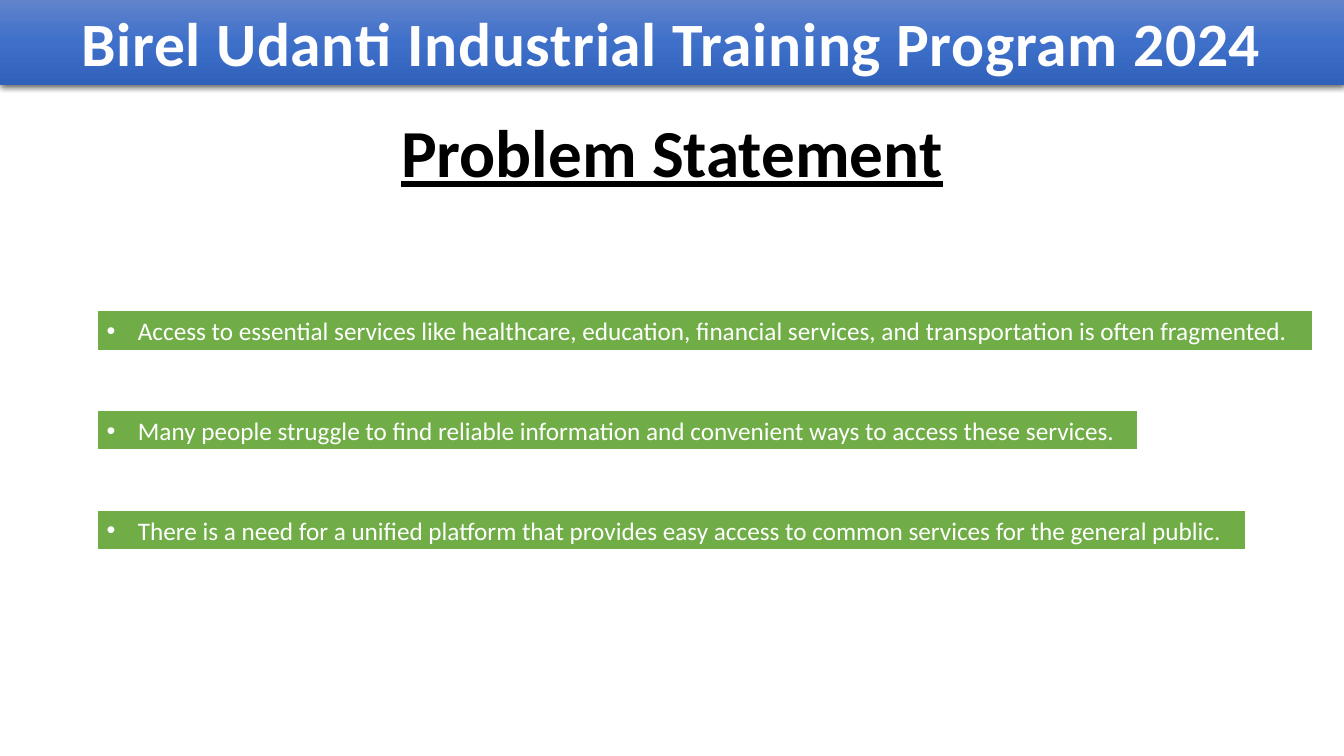
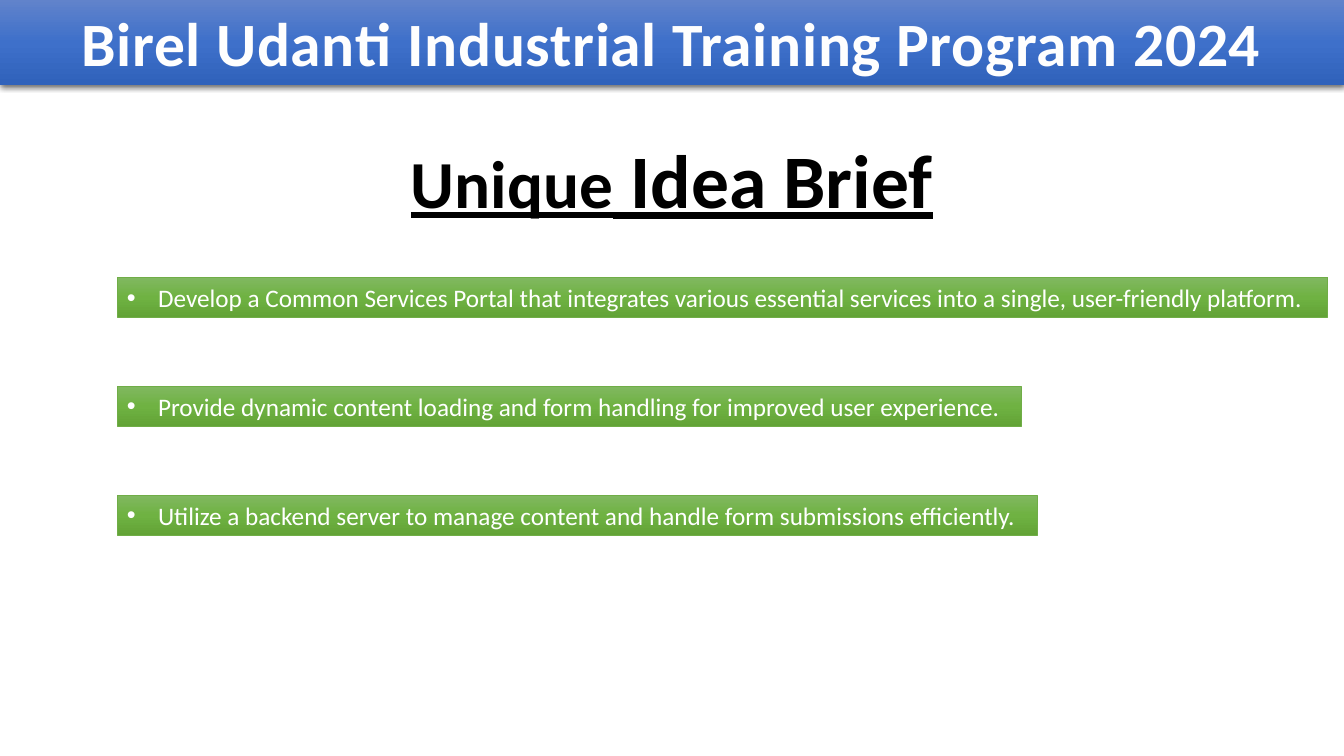
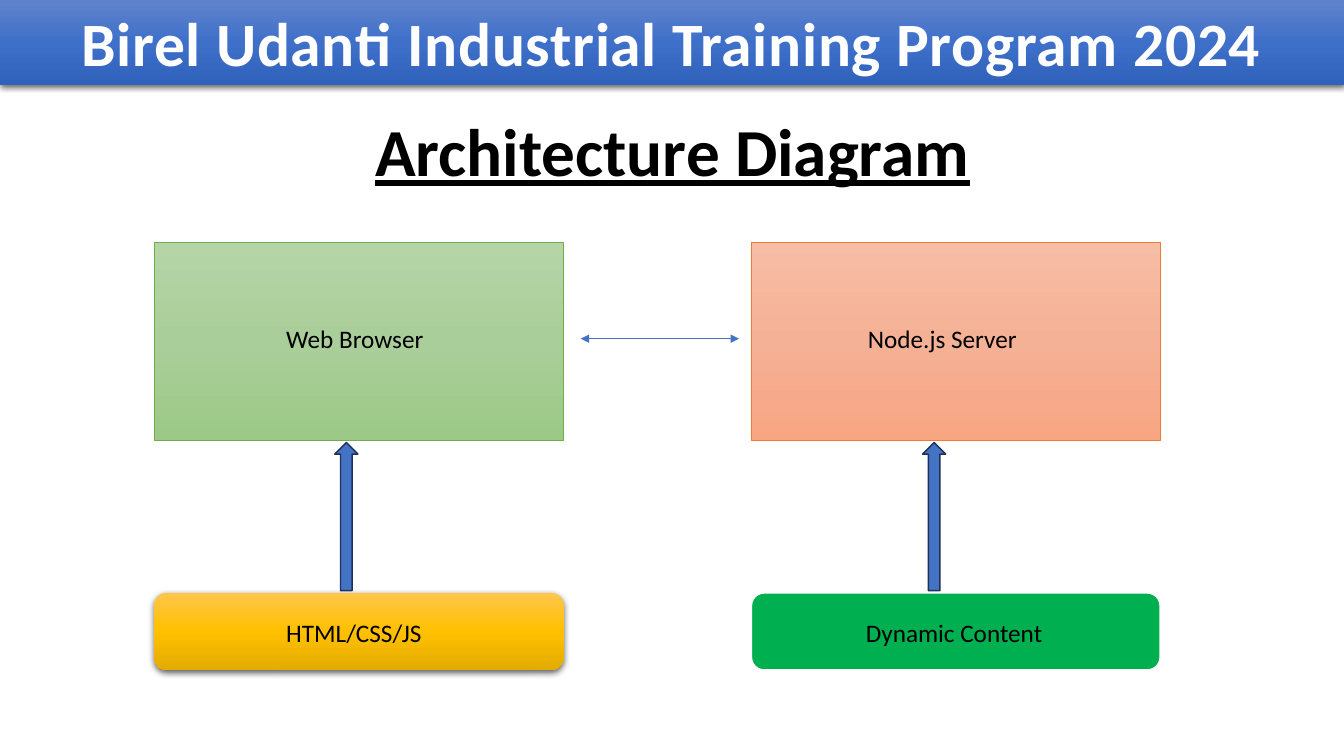
"""Build three slides of a training project deck: problem, idea and architecture."""
from dataclasses import dataclass
from typing import Optional, Union

from lxml import etree
from pptx import Presentation
from pptx.dml.color import RGBColor
from pptx.enum.shapes import MSO_CONNECTOR, MSO_SHAPE
from pptx.enum.text import MSO_ANCHOR, MSO_AUTO_SIZE, PP_ALIGN
from pptx.oxml.ns import qn
from pptx.util import Inches, Pt

RECTANGLE, ROUNDED, UP_ARROW = MSO_SHAPE.RECTANGLE, MSO_SHAPE.ROUNDED_RECTANGLE, MSO_SHAPE.UP_ARROW
STRAIGHT = MSO_CONNECTOR.STRAIGHT
LEFT, CENTER = PP_ALIGN.LEFT, PP_ALIGN.CENTER
MIDDLE, FIXED = MSO_ANCHOR.MIDDLE, MSO_AUTO_SIZE.NONE

FONT = "Calibri"
BLACK = RGBColor(0x00, 0x00, 0x00)
WHITE = RGBColor(0xFF, 0xFF, 0xFF)
OFF_WHITE = RGBColor(0xFE, 0xFE, 0xFE)
BLUE = RGBColor(0x44, 0x72, 0xC4)
NAVY = RGBColor(0x1E, 0x32, 0x56)
GREEN = RGBColor(0x70, 0xAD, 0x47)
BRIGHT_GREEN = RGBColor(0x00, 0xB0, 0x50)
ORANGE = RGBColor(0xED, 0x7D, 0x31)
BLUE_SHADES = (RGBColor(0x61, 0x83, 0xCB), RGBColor(0x3E, 0x70, 0xCA), RGBColor(0x30, 0x62, 0xBB))
GREEN_SHADES = (RGBColor(0x81, 0xB8, 0x61), RGBColor(0x6F, 0xB2, 0x42), RGBColor(0x62, 0xA3, 0x36))
PALE_GREEN_SHADES = (RGBColor(0xB5, 0xD5, 0xA7), RGBColor(0xAA, 0xCE, 0x9A), RGBColor(0x9C, 0xC9, 0x87))
PALE_ORANGE_SHADES = (RGBColor(0xF7, 0xBD, 0xA5), RGBColor(0xF5, 0xB1, 0x96), RGBColor(0xF8, 0xA5, 0x82))
GOLD_SHADES = (RGBColor(0xFF, 0xC6, 0x4B), RGBColor(0xFF, 0xC0, 0x00), RGBColor(0xE3, 0xAB, 0x00))

SLIDE_WIDTH, SLIDE_HEIGHT = 13.33, 7.5
BAND_HEIGHT = 0.84
TEXT_HEIGHT = 0.4
PROGRAM = "Birel Udanti Industrial Training Program 2024"


@dataclass(frozen=True)
class Area:
    """A rectangle on the slide, in inches."""
    left: float
    top: float
    width: float
    height: float

    def lengths(self):
        """Return the four values as lengths."""
        return tuple(Inches(value) for value in (self.left, self.top, self.width, self.height))


@dataclass(frozen=True)
class Look:
    """The fill, outline and shadow of a shape; three colours make a gradient."""
    fill: Union[RGBColor, tuple]
    line: Optional[RGBColor] = None
    line_width: float = 0.5
    shadow: bool = False


@dataclass(frozen=True)
class TitleSpan:
    """A part of a title with its size in points."""
    text: str
    size: int = 48


@dataclass(frozen=True)
class Bar:
    """A bulleted statement and the width of its bar."""
    text: str
    width: float


@dataclass(frozen=True)
class Node:
    """A box of the diagram with its separate label."""
    area: Area
    shape: MSO_SHAPE
    look: Look
    text: str
    label: Area


BAND_LOOK = Look(BLUE_SHADES, shadow=True)
ARROW_LOOK = Look(BLUE, NAVY, 1)
FLAT_BAR = Look(GREEN, WHITE, 1.5)
SHADED_BAR = Look(GREEN_SHADES, GREEN)

PROBLEMS = (
    Bar("Access to essential services like healthcare, education, financial services, "
        "and transportation is often fragmented.", 12.06),
    Bar("Many people struggle to find reliable information and convenient ways "
        "to access these services.", 10.33),
    Bar("There is a need for a unified platform that provides easy access "
        "to common services for the general public.", 11.4),
)
IDEAS = (
    Bar("Develop a Common Services Portal that integrates various essential services "
        "into a single, user-friendly platform.", 12.01),
    Bar("Provide dynamic content loading and form handling for improved user experience.", 8.97),
    Bar("Utilize a backend server to manage content and handle form submissions efficiently.", 9.13),
)

COLUMNS = (1.53, 7.45)
NODE_WIDTH = 4.06
UPPER_TOP, UPPER_HEIGHT, UPPER_LABEL_TOP = 2.4, 1.97, 3.16
LOWER_TOP, LOWER_HEIGHT, LOWER_LABEL_TOP = 5.88, 0.77, 6.07
NODES = (
    Node(Area(COLUMNS[0], UPPER_TOP, NODE_WIDTH, UPPER_HEIGHT), RECTANGLE,
         Look(PALE_GREEN_SHADES, GREEN), "Web Browser",
         Area(2.74, UPPER_LABEL_TOP, 1.64, TEXT_HEIGHT)),
    Node(Area(COLUMNS[1], UPPER_TOP, NODE_WIDTH, UPPER_HEIGHT), RECTANGLE,
         Look(PALE_ORANGE_SHADES, ORANGE), "Node.js Server",
         Area(8.51, UPPER_LABEL_TOP, 1.75, TEXT_HEIGHT)),
    Node(Area(COLUMNS[0], LOWER_TOP, NODE_WIDTH, LOWER_HEIGHT), ROUNDED,
         Look(GOLD_SHADES, shadow=True), "HTML/CSS/JS",
         Area(2.74, LOWER_LABEL_TOP, 1.62, TEXT_HEIGHT)),
    Node(Area(COLUMNS[1], LOWER_TOP, NODE_WIDTH, LOWER_HEIGHT), ROUNDED,
         Look(BRIGHT_GREEN, WHITE, 1.5), "Dynamic Content",
         Area(8.49, LOWER_LABEL_TOP, 1.97, TEXT_HEIGHT)),
)
ARROW_LEFTS = (3.32, 9.15)


def add_color(parent, color: RGBColor):
    """Add a colour element below the parent and return it."""
    return etree.SubElement(parent, qn("a:srgbClr"), val=str(color))


def shade(shape, colors: tuple) -> None:
    """Fill a shape from top to bottom with evenly spaced colours."""
    shape.fill.gradient()
    shape.fill.gradient_angle = 270
    stops = next(shape._element.iter(qn("a:gsLst")))
    stops.clear()
    for index, color in enumerate(colors):
        position = 100000 * index // (len(colors) - 1)
        add_color(etree.SubElement(stops, qn("a:gs"), pos=str(position)), color)


def add_shadow(shape) -> None:
    """Put a soft shadow below a shape."""
    effects = shape._element.spPr.find(qn("a:effectLst"))
    shadow = etree.SubElement(effects, qn("a:outerShdw"), blurRad=str(Pt(4.5)),
                              dist=str(Pt(1.5)), dir="5400000", algn="ctr", rotWithShape="0")
    etree.SubElement(add_color(shadow, BLACK), qn("a:alpha"), val="63000")


def add_box(slide, kind: MSO_SHAPE, area: Area, look: Look):
    """Draw a preset shape with the given look."""
    box = slide.shapes.add_shape(kind, *area.lengths())
    box.shadow.inherit = False
    if isinstance(look.fill, RGBColor):
        box.fill.solid()
        box.fill.fore_color.rgb = look.fill
    else:
        shade(box, look.fill)
    if look.line is None:
        box.line.fill.background()
    else:
        box.line.color.rgb = look.line
        box.line.width = Pt(look.line_width)
    if look.shadow:
        add_shadow(box)
    return box


def format_text(shape, size: int, color: RGBColor, align: PP_ALIGN = LEFT,
                bold: bool = False, wrap: bool = True):
    """Format the single paragraph of a shape and return it."""
    frame = shape.text_frame
    frame.word_wrap = wrap
    frame.auto_size = FIXED
    frame.vertical_anchor = MIDDLE
    para = frame.paragraphs[0]
    para.alignment = align
    font = para.font
    font.name, font.size, font.bold = FONT, Pt(size), bold
    font.color.rgb = color
    return para


def outline_text(span, color: RGBColor) -> None:
    """Give the letters of a run a thin outline."""
    line = etree.Element(qn("a:ln"), w=str(Pt(0.75)))
    add_color(etree.SubElement(line, qn("a:solidFill")), color)
    span._r.get_or_add_rPr().insert(0, line)


def add_bullet(para) -> None:
    """Give a paragraph a hanging bullet."""
    properties = para._p.get_or_add_pPr()
    indent = Inches(0.31)
    properties.set("marL", str(indent))
    properties.set("indent", str(-indent))
    etree.SubElement(properties, qn("a:buFont"), typeface="Arial")
    etree.SubElement(properties, qn("a:buChar"), char="•")


def add_band(slide) -> None:
    """Draw the program band along the top edge."""
    band = add_box(slide, RECTANGLE, Area(0, 0, SLIDE_WIDTH, BAND_HEIGHT), BAND_LOOK)
    para = format_text(band, 44, OFF_WHITE, CENTER, bold=True)
    span = para.add_run()
    span.text = PROGRAM
    outline_text(span, BLUE)
    span._r.get_or_add_rPr().set("spc", "50")


def add_slide(deck, title_area: Area, *title_spans: TitleSpan):
    """Add a slide with the program band and an underlined title."""
    slide = deck.slides.add_slide(deck.slide_layouts[5])
    add_band(slide)
    title = slide.shapes.title
    title.left, title.top, title.width, title.height = title_area.lengths()
    para = format_text(title, title_spans[0].size, BLACK, CENTER, bold=True, wrap=False)
    para.font.underline = True
    for part in title_spans:
        span = para.add_run()
        span.text = part.text
        if part.size != title_spans[0].size:
            span.font.size = Pt(part.size)
        outline_text(span, WHITE)
    return slide


def add_bars(slide, bars: tuple, left: float, top: float, pitch: float, look: Look) -> None:
    """Stack bulleted bars at an equal pitch."""
    for index, bar in enumerate(bars):
        area = Area(left, top + index * pitch, bar.width, TEXT_HEIGHT)
        box = add_box(slide, RECTANGLE, area, look)
        add_bullet(box.text_frame.paragraphs[0])
        format_text(box, 18, WHITE).add_run().text = bar.text


def add_node(slide, node: Node) -> None:
    """Draw a diagram box and its label."""
    add_box(slide, node.shape, node.area, node.look)
    label = slide.shapes.add_textbox(*node.label.lengths())
    format_text(label, 18, BLACK, wrap=False).add_run().text = node.text


def add_double_arrow(slide, start: float, end: float, level: float) -> None:
    """Draw a level line with an arrowhead at each end."""
    arrow = slide.shapes.add_connector(STRAIGHT, Inches(start), Inches(level),
                                       Inches(end), Inches(level))
    arrow.line.color.rgb = BLUE
    arrow.line.width = Pt(0.5)
    properties = arrow._element.spPr
    line = properties.find(qn("a:ln"))
    for tag in ("a:headEnd", "a:tailEnd"):
        etree.SubElement(line, qn(tag), type="triangle")
    etree.SubElement(properties, qn("a:effectLst"))


def main() -> None:
    """Build and save the deck."""
    deck = Presentation()
    deck.slide_width, deck.slide_height = Inches(SLIDE_WIDTH), Inches(SLIDE_HEIGHT)

    problem = add_slide(deck, Area(3.85, 1.04, 5.63, 0.91), TitleSpan("Problem Statement"))
    add_bars(problem, PROBLEMS, 0.96, 3.08, 0.99, FLAT_BAR)

    idea = add_slide(deck, Area(3.95, 1.26, 5.43, 1.01),
                     TitleSpan("Unique"), TitleSpan(" Idea Brief", 54))
    add_bars(idea, IDEAS, 1.16, 2.75, 1.08, SHADED_BAR)

    architecture = add_slide(deck, Area(3.59, 1.03, 6.16, 0.91), TitleSpan("Architecture Diagram"))
    for node in NODES:
        add_node(architecture, node)
    for left in ARROW_LEFTS:
        add_box(architecture, UP_ARROW, Area(left, 4.39, 0.23, 1.47), ARROW_LOOK)
    add_double_arrow(architecture, 5.76, 7.33, 3.36)

    deck.save("out.pptx")


if __name__ == "__main__":
    main()
